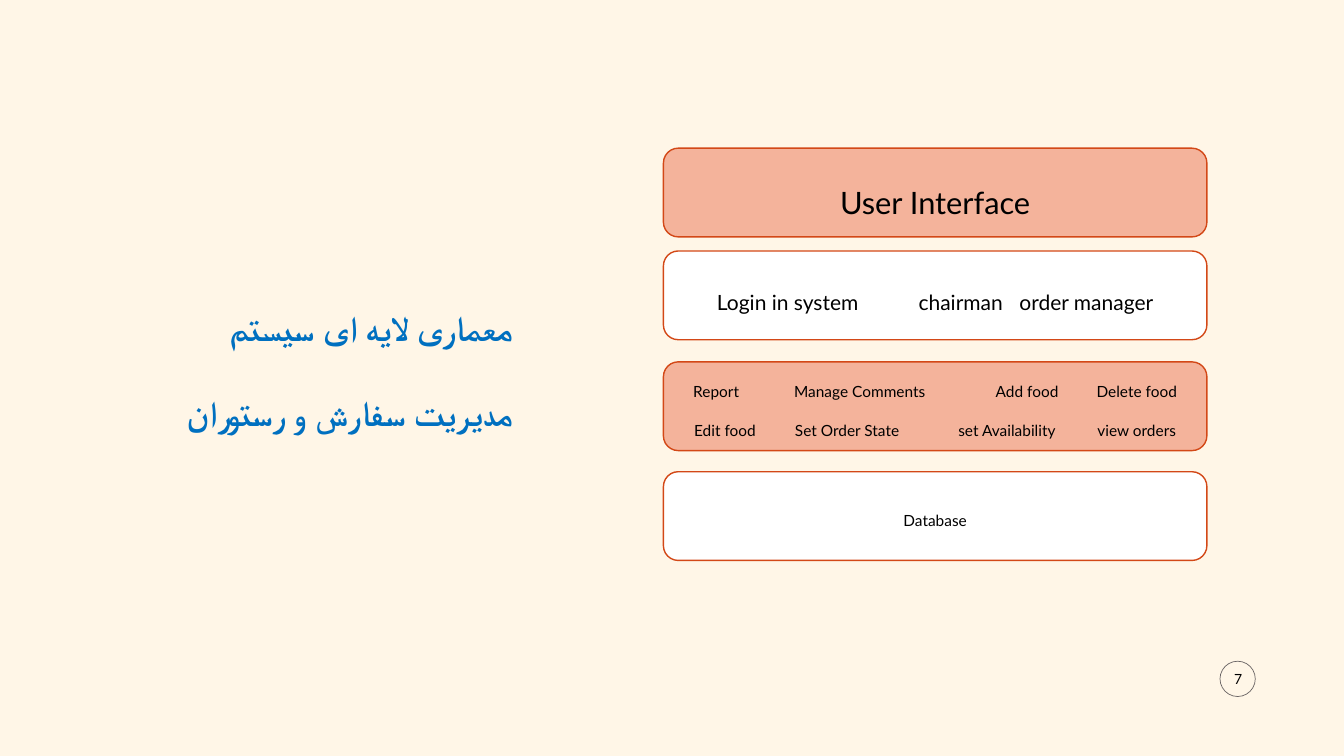
from lxml import etree
from pptx import Presentation
from pptx import util as u
from pptx.dml.color import RGBColor
from pptx.enum import shapes, text
from pptx.oxml.ns import qn

INK = {
    "cream": "FFF6E7", "blue": "0070C0", "black": "000000", "gray": "696464",
    "peach": "F4B39B", "white": "FFFFFF", "rust": "D34817",
}
CELL = u.Inches(0.1)


class Deck:
    """Holds the style and the slide; lengths are cells of a 0.1 inch grid."""

    def __init__(self):
        self.prs = Presentation()
        self.prs.slide_width = u.Inches(13.33)
        self.prs.slide_height = u.Inches(7.5)
        self.slide = self.prs.slides.add_slide(self.prs.slide_layouts[6])
        self.paint(self.slide.background.fill, "cream")

    def paint(self, fill, ink):
        fill.solid()
        fill.fore_color.rgb = RGBColor.from_string(INK[ink])

    def shape(self, kind, box, line, width, fill=None):
        item = self.slide.shapes.add_shape(kind, *(round(n * CELL) for n in box))
        item.shadow.inherit = False
        if fill:
            self.paint(item.fill, fill)
        else:
            item.fill.background()
        self.paint(item.line.fill, line)
        item.line.width = u.Pt(width)
        return item

    def label(self, box):
        return self.slide.shapes.add_textbox(*(round(n * CELL) for n in box))

    def letter(self, item, rows, size, ink="black", font="Lato", bold=False,
               align="CENTER", anchor="MIDDLE", space=1.0, after=0, rtl=False):
        """Fill a shape; each row pairs its words with tab stops in inches."""
        frame = item.text_frame
        frame.word_wrap = True
        frame.vertical_anchor = text.MSO_ANCHOR[anchor]
        frame.text = "\n".join("\t".join(words) for words, _ in rows)
        for para, (_, stops) in zip(frame.paragraphs, rows):
            para.alignment = text.PP_ALIGN[align]
            para.line_spacing = space
            para.space_after = u.Pt(after)
            props = para._p.get_or_add_pPr()
            if rtl:
                props.set("rtl", "1")
            if stops:
                tabs = etree.SubElement(props, qn("a:tabLst"))
                for stop in stops:
                    etree.SubElement(tabs, qn("a:tab"), algn="l",
                                     pos=str(u.Inches(stop)))
            for run in para.runs:
                run.font.size = u.Pt(size)
                run.font.name = font
                run.font.bold = bold
                self.paint(run.font.fill, ink)
                if rtl:
                    etree.SubElement(run._r.get_or_add_rPr(), qn("a:cs"),
                                     typeface=font)

    def layer(self, top, fill, size, rows, rtl=False):
        card = self.shape(shapes.MSO_SHAPE.ROUNDED_RECTANGLE,
                          (65.8, top, 53.9, 8.8), "rust", 1, fill)
        self.letter(card, rows, size, space=1.5, after=8, rtl=rtl)

    def title(self, words):
        self.letter(self.label((12.9, 24.9, 39, 18.6)), [([words], [])], 25.2,
                    ink="blue", font="Times New Roman", bold=True,
                    align="RIGHT", anchor="BOTTOM", space=2.0, rtl=True)

    def number(self, words):
        self.shape(shapes.MSO_SHAPE.OVAL, (121, 65.6, 3.5, 3.5), "gray", 0.5)
        self.letter(self.label((120.8, 65.4, 4, 4)), [([words], [])], 10)


def main():
    deck = Deck()
    deck.title("معماری لایه ای سیستم مدیریت سفارش و رستوران")
    deck.layer(14.7, "peach", 22, [(["User Interface"], [])])
    deck.layer(24.9, "white", 15, [
        (["Login in system", "chairman", "order manager"], [2, 3])])
    deck.layer(35.9, "peach", 11, [
        (["Report", "Manage Comments", "Add food", "Delete food"], [1, 3, 4]),
        (["Edit food", "Set Order State", "set Availability", "view orders"],
         [1, 2.62, 4])])
    deck.layer(46.8, "white", 11, [(["Database"], [])], rtl=True)
    deck.number("7")
    deck.prs.save("out.pptx")


if __name__ == "__main__":
    main()
